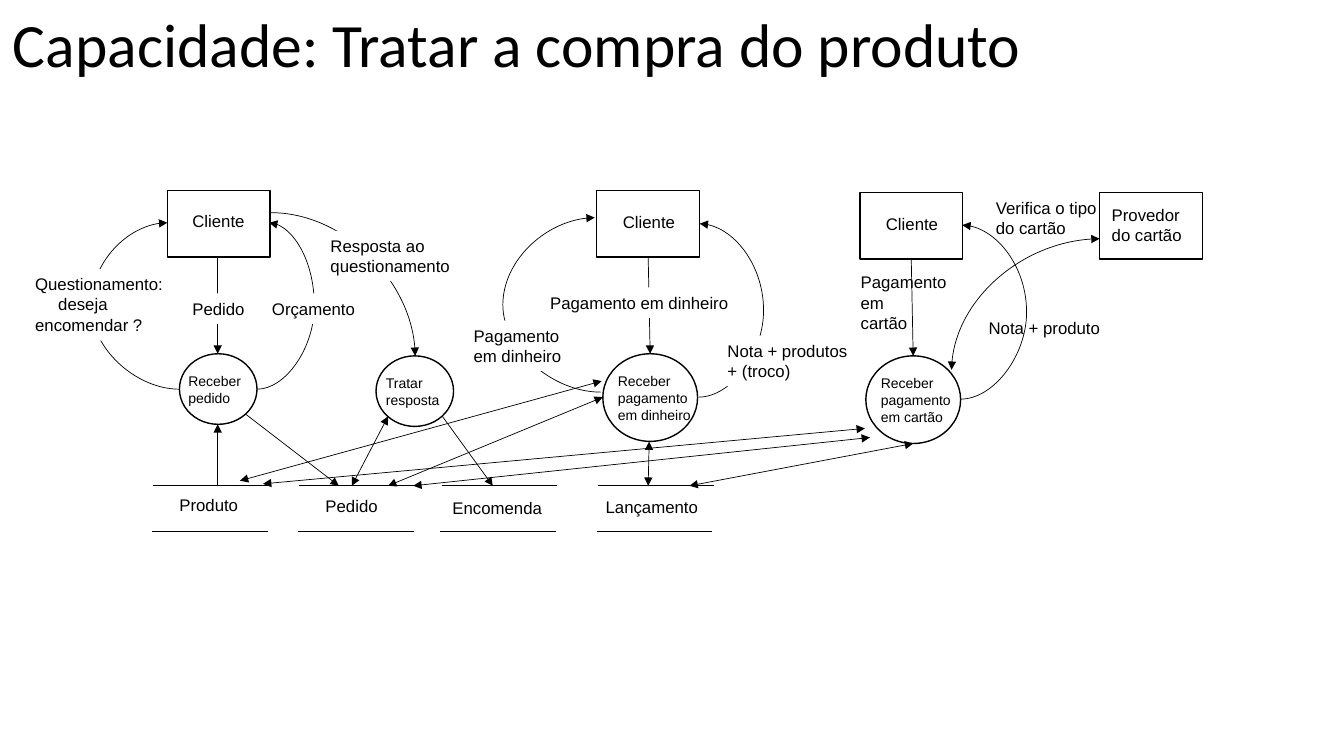
import math
from dataclasses import dataclass

import pptx
import pptx.dml.color
import pptx.enum.shapes
import pptx.enum.text
import pptx.oxml
import pptx.oxml.ns
import pptx.util

Pt = pptx.util.Pt
ShapeType = pptx.enum.shapes.MSO_SHAPE
ConnectorType = pptx.enum.shapes.MSO_CONNECTOR

COLOURS = {"ink": "000000", "paper": "FFFFFF"}
LABEL_FRAME = {
    "word_wrap": True,
    "auto_size": pptx.enum.text.MSO_AUTO_SIZE.SHAPE_TO_FIT_TEXT,
    "vertical_anchor": pptx.enum.text.MSO_ANCHOR.TOP,
}
TITLE_FRAME = {
    "word_wrap": True,
    "auto_size": pptx.enum.text.MSO_AUTO_SIZE.NONE,
    "vertical_anchor": pptx.enum.text.MSO_ANCHOR.MIDDLE,
}
LABEL_FONT = {"name": "Arial", "size": Pt(12)}
PROCESS_FONT = {"name": "Arial", "size": Pt(10)}
TITLE_FONT = {"name": "Calibri", "size": Pt(44)}
STORE_WIDTH, STORE_TOP, STORE_BOTTOM = 82.8, 347, 379.5


@dataclass
class Outline:
    kind: ShapeType
    left: float
    top: float
    width: float
    height: float


@dataclass
class Label:
    text: str
    left: float
    top: float
    width: float
    height: float = 21.8
    filled: bool = True


@dataclass
class Flow:
    start: tuple[float, float]
    end: tuple[float, float]
    both_ways: bool = False


@dataclass
class Curve(Flow):
    bend: float | None = None  # x of the outermost point; None is a quarter turn
    rotation: int = 0


@dataclass
class Store:
    left: float
    label: Label


presentation = pptx.Presentation()
presentation.slide_width, presentation.slide_height = Pt(960), Pt(540)
slide = presentation.slides.add_slide(presentation.slide_layouts[6])


def rgb(name: str) -> pptx.dml.color.RGBColor:
    return pptx.dml.color.RGBColor.from_string(COLOURS[name])


def apply(target: object, values: dict) -> None:
    for name, value in values.items():
        setattr(target, name, value)


def add_label(label: Label, font: dict, frame_format: dict = LABEL_FRAME):
    box = slide.shapes.add_textbox(
        Pt(label.left), Pt(label.top), Pt(label.width), Pt(label.height))
    if label.filled:
        box.fill.solid()
        box.fill.fore_color.rgb = rgb("paper")
    apply(box.text_frame, frame_format)
    box.text_frame.text = label.text
    for paragraph in box.text_frame.paragraphs:
        apply(paragraph.font, font)
        paragraph.font.color.rgb = rgb("ink")
    return box


def add_outline(outline: Outline) -> None:
    shape = slide.shapes.add_shape(
        outline.kind, Pt(outline.left), Pt(outline.top), Pt(outline.width), Pt(outline.height))
    shape.shadow.inherit = False
    shape.fill.background()
    shape.line.color.rgb = rgb("ink")
    shape.line.width = Pt(1)


def add_line(start: tuple, end: tuple, arrows: tuple = (), kind=ConnectorType.STRAIGHT):
    connector = slide.shapes.add_connector(kind, *(Pt(value) for value in (*start, *end)))
    connector.line.color.rgb = rgb("ink")
    connector.line.width = Pt(0.5)
    properties = connector._element.spPr
    line = properties.find(pptx.oxml.ns.qn("a:ln"))
    for arrow in arrows:
        pptx.oxml.ns.qn("a:" + arrow)
        line.append(pptx.oxml.parse_xml(
            f'<a:{arrow} {pptx.oxml.ns.nsdecls("a")} type="triangle"/>'))
    properties.append(pptx.oxml.parse_xml(f'<a:effectLst {pptx.oxml.ns.nsdecls("a")}/>'))
    return connector


def arrow_ends(flow: Flow) -> tuple:
    return ("headEnd", "tailEnd") if flow.both_ways else ("tailEnd",)


def add_curve(curve: Curve) -> None:
    (x1, y1), (x2, y2) = curve.start, curve.end
    middle_x, middle_y = (x1 + x2) / 2, (y1 + y2) / 2
    cosine = round(math.cos(math.radians(curve.rotation)))
    sine = round(math.sin(math.radians(curve.rotation)))

    def unturned(x: float, y: float) -> tuple[float, float]:
        dx, dy = x - middle_x, y - middle_y
        return middle_x + dx * cosine + dy * sine, middle_y - dx * sine + dy * cosine

    connector = add_line(
        unturned(x1, y1), unturned(x2, y2), arrow_ends(curve), ConnectorType.CURVE)
    properties = connector._element.spPr
    if curve.rotation:
        properties.get_or_add_xfrm().set("rot", str(curve.rotation * 60000))
    geometry = properties.find(pptx.oxml.ns.qn("a:prstGeom"))
    if curve.bend is None:
        geometry.set("prst", "curvedConnector2")
        return
    for old_values in list(geometry):
        geometry.remove(old_values)
    adjustment = round((curve.bend - x1) / (x2 - x1) * 100000)
    geometry.append(pptx.oxml.parse_xml(
        f'<a:avLst {pptx.oxml.ns.nsdecls("a")}><a:gd name="adj1" fmla="val {adjustment}"/></a:avLst>'))


# Title
title = add_label(Label("Capacidade: Tratar a compra do produto", 2.2, 5, 828, 57.6, False),
                  TITLE_FONT, TITLE_FRAME)
title.text_frame.paragraphs[0].line_spacing = 0.9

# External entities and processes
for left, top in [(119.5, 136.1), (426.2, 136.1), (614.2, 137.5), (785.5, 137.5)]:
    add_outline(Outline(ShapeType.RECTANGLE, left, top, 73.5, 47.5))
for left, top, width, height in [(128.2, 252.7, 55.4, 50.4), (268.6, 254.2, 55.4, 50.4),
                                 (430.6, 252.7, 67.7, 62.6), (618.5, 254.2, 67.7, 62.6)]:
    add_outline(Outline(ShapeType.OVAL, left, top, width, height))

# Straight flows
for flow in [
    Flow((155.5, 183), (155.5, 252.7)),
    Flow((155.5, 347), (155.5, 303)),
    Flow((316, 297.4), (352, 347)),
    Flow((175.7, 296), (242, 347)),
    Flow((277.2, 297.4), (251.3, 347), True),
    Flow((463, 183), (464.4, 252.7)),
    Flow((463.7, 315.4), (463, 347), True),
    Flow((430.6, 283.7), (277.2, 347), True),
    Flow((429.8, 272.2), (171.4, 343.4), True),
    Flow((650.9, 184.3), (652.3, 254.2)),
    Flow((652.3, 316.8), (492.5, 347), True),
    Flow((621.4, 312.5), (295.2, 347), True),
    Flow((617.8, 306), (187.9, 345.6), True),
]:
    add_line(flow.start, flow.end, arrow_ends(flow))

# Data stores
for store in [
    Store(109.4, Label("Produto", 121, 350, 66.2)),
    Store(213.8, Label("Pedido", 225.4, 350.6, 66.2)),
    Store(315.4, Label("Encomenda", 316.1, 352, 87.1)),
    Store(427, Label("Lançamento", 425.5, 351.4, 85)),
]:
    for left, y in [(store.left, STORE_TOP), (store.left - 0.9, STORE_BOTTOM)]:
        add_line((left, y), (left + STORE_WIDTH, y))
    add_label(store.label, LABEL_FONT)

# Names of entities and straight flows
for label in [
    Label("Cliente", 130.3, 146.9, 54),
    Label("Cliente", 437.8, 147.6, 54),
    Label("Cliente", 625.7, 149, 54),
    Label("Provedor do cartão", 787, 142.6, 69.8, 36),
    Label("Pedido", 130.3, 209.5, 54),
    Label("Pagamento em dinheiro", 385.9, 205.2, 175.7),
    Label("Pagamento em\ncartão", 607.7, 190.8, 77, 51.1, False),
]:
    add_label(label, LABEL_FONT)

# Names of processes
for label in [
    Label("Receber pedido", 127.4, 262.8, 54, 31.7, False),
    Label("Tratar resposta", 268.6, 264.2, 54, 31.7, False),
    Label("Receber\npagamento\nem dinheiro", 434.2, 262.8, 114.5, 43.9, False),
    Label("Receber\npagamento\nem cartão", 622.1, 264.2, 114.5, 43.9, False),
]:
    add_label(label, PROCESS_FONT)

# Curved flows
for curve in [
    Curve((128.2, 278), (119.5, 159.1), bend=65, rotation=180),
    Curve((183.6, 278), (192.2, 159.1), bend=224.6),
    Curve((193.7, 151.9), (296.6, 254.2)),
    Curve((499, 283.7), (499.8, 159.8), bend=545.8),
    Curve((686.2, 285.1), (687.4, 160.8), bend=733.7),
    Curve((429.1, 280.1), (424.8, 155.5), bend=359.3, rotation=180),
    Curve((679.7, 264.2), (785.5, 170.6), both_ways=True, rotation=90),
]:
    add_curve(curve)

# Names of curved flows
for label in [
    Label("Orçamento", 187.2, 209.5, 80.6),
    Label("Resposta ao questionamento", 229, 164.9, 105.1, 36),
    Label("Nota + produtos + (troco)", 512.6, 239.8, 105.1, 36),
    Label("Nota + produto", 699.1, 223.2, 105.1, filled=False),
    Label("Pagamento\nem dinheiro", 331.2, 229, 95.8, 36),
    Label("Verifica o tipo do cartão", 704.2, 137.5, 88.6, 36, False),
]:
    add_label(label, LABEL_FONT)
question = add_label(Label("Questionamento:\ndeseja\nencomendar ?", 18, 192.2, 114.5, 51.1),
                     LABEL_FONT)
question.text_frame.paragraphs[1]._p.get_or_add_pPr().set("marL", str(Pt(16.5)))

presentation.save("out.pptx")
